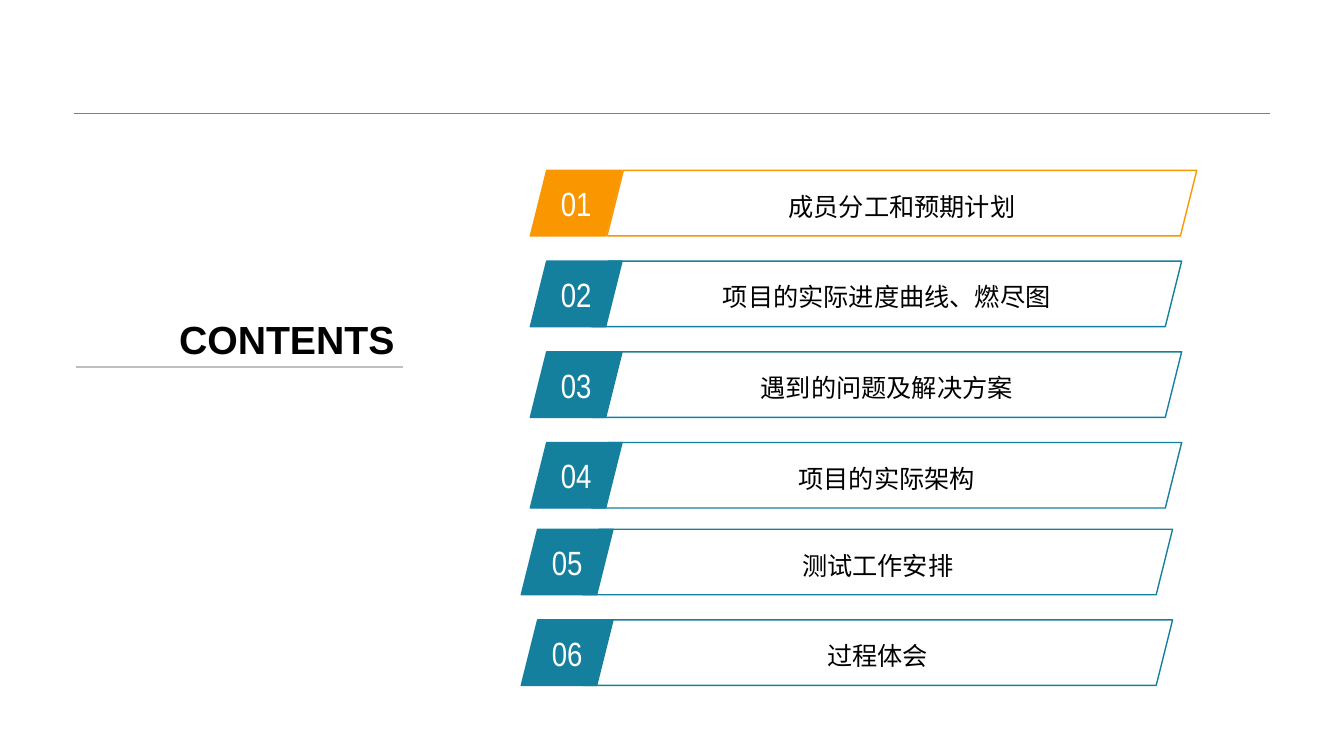
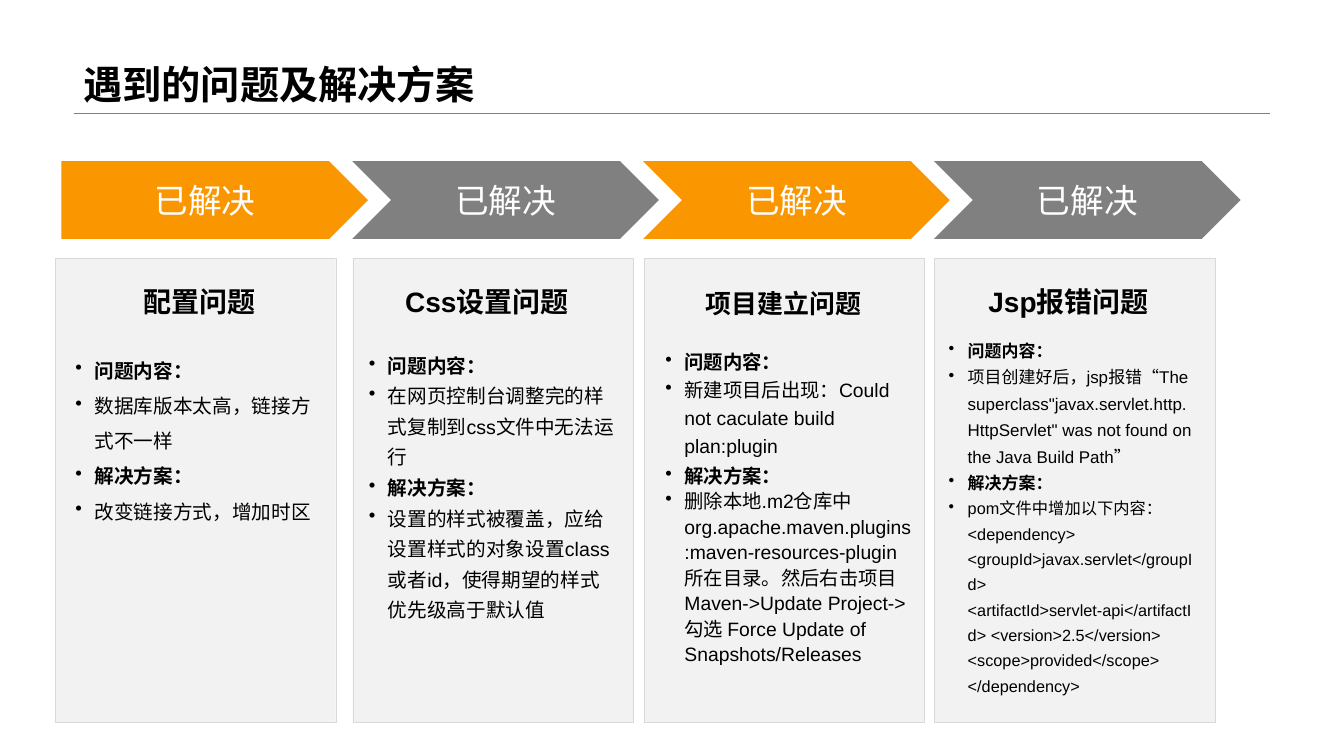
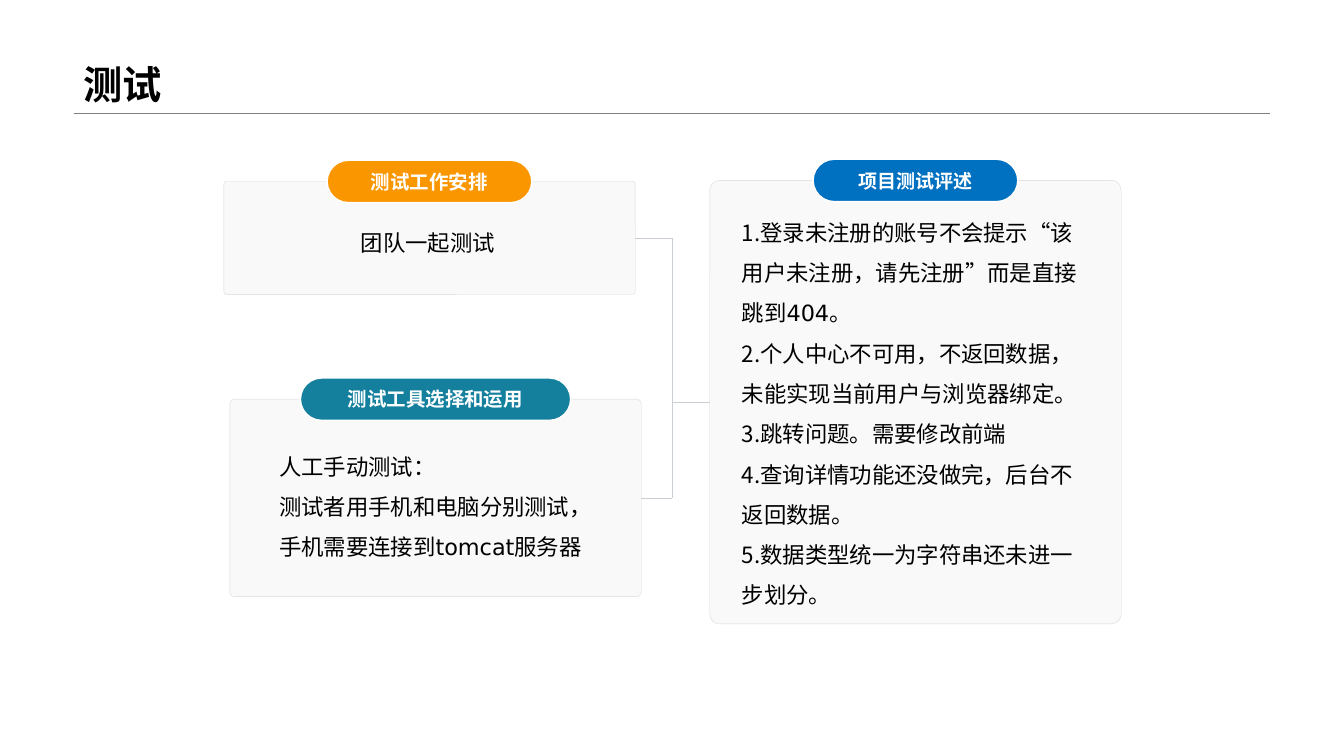
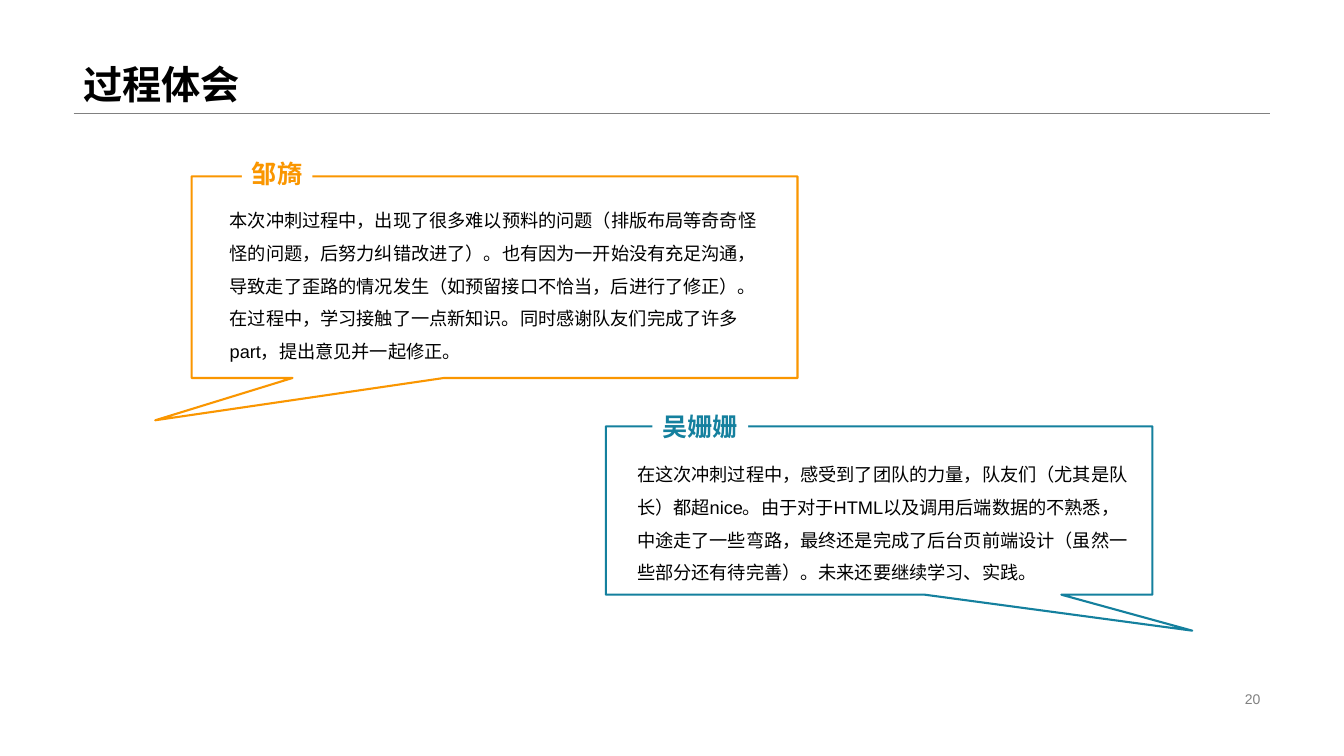
from lxml import etree
from pptx import Presentation
from pptx import util as u
from pptx.dml.color import RGBColor
from pptx.enum import shapes, text
from pptx.oxml import ns

Inches = u.Inches
SHAPE = shapes.MSO_SHAPE
ALIGN = text.PP_ALIGN
ANCHOR = text.MSO_ANCHOR

ORANGE, TEAL, BLUE, GRAY = "FA9600", "14809E", "0070C0", "808080"
BLACK, WHITE, PANEL, EDGE = "000000", "FFFFFF", "F2F2F2", "D9D9D9"
TRUNK = "C9CED5"


# Shared helpers
def colour(code):
    return RGBColor.from_string(code)


def add_node(parent, tag, **attributes):
    return etree.SubElement(parent, ns.qn(tag), attributes)


def add_box(page, kind, box, fill=None, line=None, width=1, adjust=()):
    shape = page.shapes.add_shape(kind, *map(Inches, box))
    shape.shadow.inherit = False
    if fill:
        shape.fill.solid()
        shape.fill.fore_color.rgb = colour(fill)
    else:
        shape.fill.background()
    if line:
        shape.line.color.rgb = colour(line)
        shape.line.width = u.Pt(width)
    else:
        shape.line.fill.background()
    for index, value in enumerate(adjust):
        shape.adjustments[index] = value
    return shape


def add_line(page, start, end, code, width):
    line = page.shapes.add_connector(
        shapes.MSO_CONNECTOR.STRAIGHT, *map(Inches, start + end))
    line.line.color.rgb = colour(code)
    line.line.width = u.Pt(width)
    add_node(line._element.spPr, "a:effectLst")
    return line


def write(shape, lines, size, code=BLACK, font="Arial", bold=False,
          align=ALIGN.LEFT, anchor=ANCHOR.TOP, spacing=None, wrap=True):
    frame = shape.text_frame
    frame.word_wrap = wrap
    frame.vertical_anchor = anchor
    frame.text = "\n".join(lines)
    for para in frame.paragraphs:
        para.alignment = align
        if spacing:
            para.line_spacing = spacing
        for span in para.runs:
            span.font.size = u.Pt(size)
            span.font.name = font
            span.font.bold = bold
            span.font.color.rgb = colour(code)
    return frame


def add_text(page, box, lines, size, **style):
    return write(page.shapes.add_textbox(*map(Inches, box)), lines, size, **style)


def add_bullet(para, tag, indent=0, **attributes):
    properties = para._p.get_or_add_pPr()
    properties.set("marL", str(Inches(indent)))
    properties.set("indent", str(-Inches(indent)))
    add_node(properties, tag, **attributes)


def new_page(deck, title=None):
    page = deck.slides.add_slide(deck.slide_layouts[6])
    add_line(page, (0.73, 1.12), (12.6, 1.12), GRAY, 0.25)
    if title:
        add_text(page, (0.73, 0, 11.87, 1.12), [title], 28, bold=True,
                 anchor=ANCHOR.BOTTOM, spacing=0.9)
    return page


# Contents
def add_entry(page, left, top, number, label):
    first = number == 1
    code = ORANGE if first else TEAL
    tab = add_box(page, SHAPE.PARALLELOGRAM, (left, top, 0.91, 0.65), code, code)
    write(tab, [f"{number:02d}"], 24, WHITE, "Arial Narrow",
          align=ALIGN.CENTER, anchor=ANCHOR.MIDDLE, wrap=False)
    bar_left = left + (0.76 if first else 0.61)
    bar = add_box(page, SHAPE.PARALLELOGRAM, (bar_left, top, 5.85, 0.65), line=code)
    write(bar, [label], 18, align=ALIGN.CENTER, anchor=ANCHOR.MIDDLE, spacing=1.2)


def contents_slide(deck):
    page = new_page(deck)
    labels = ["成员分工和预期计划", "项目的实际进度曲线、燃尽图", "遇到的问题及解决方案",
              "项目的实际架构", "测试工作安排", "过程体会"]
    for index, label in enumerate(labels):
        left, top, row = (5.26, 1.69, index) if index < 4 else (5.17, 5.25, index - 4)
        add_entry(page, left, top + row * 0.9, index + 1, label)
    add_line(page, (0.75, 3.64), (4, 3.64), "BFBFBF", 1.5)
    add_text(page, (1.62, 2.54, 2.39, 1.1), ["CONTENTS"], 28, bold=True,
             align=ALIGN.RIGHT, anchor=ANCHOR.BOTTOM, wrap=False)


# Problems and solutions
def add_column(page, left, heading, heading_size, heading_shift, body_shift,
               body_top, size, spacings, problem, solution):
    add_box(page, SHAPE.RECTANGLE, (left, 2.56, 2.78, 4.61), PANEL, EDGE, 0.25)
    add_text(page, (left + heading_shift, 2.56, 2.66, 0.65), [heading], heading_size,
             bold=True, align=ALIGN.CENTER, anchor=ANCHOR.BOTTOM)
    body = add_text(page, (left + body_shift, body_top, 2.66, 7.1 - body_top),
                    ["问题内容：", problem, "解决方案：", solution], size)
    for index, para in enumerate(body.paragraphs):
        para.line_spacing = spacings[index]
        para.runs[0].font.bold = index % 2 == 0
        add_bullet(para, "a:buChar", 0.19, char="•")
    return body


def problems_slide(deck):
    page = new_page(deck, "遇到的问题及解决方案")
    for index in range(4):
        kind = SHAPE.CHEVRON if index else SHAPE.PENTAGON
        arrow = add_box(page, kind, (0.61 + index * 2.885, 1.6, 3.04, 0.77),
                        GRAY if index % 2 else ORANGE)
        write(arrow, ["已解决"], 24, WHITE, "Arial Narrow",
              align=ALIGN.CENTER, anchor=ANCHOR.MIDDLE)

    add_column(page, 0.55, "配置问题", 20, 0.1, 0.1, 3.39, 14, [1.5] * 4,
               "数据库版本太高，链接方式不一样", "改变链接方式，增加时区")
    add_column(page, 3.5, "Css设置问题", 20, 0, 0.06, 3.39, 14, [1.3] * 4,
               "在网页控制台调整完的样式复制到css文件中无法运行",
               "设置的样式被覆盖，应给设置样式的对象设置class或者id，"
               "使得期望的样式优先级高于默认值")
    add_column(page, 6.39, "项目建立问题", 18.5, 0.05, 0.11, 3.36, 13.8,
               [1.3, 1.2, 1.3, 1.1],
               "新建项目后出现：Could not caculate build plan:plugin",
               "删除本地.m2仓库中 org.apache.maven.plugins:maven-resources-plugin"
               "所在目录。然后右击项目 Maven->Update Project->"
               "勾选 Force Update of Snapshots/Releases")
    body = add_column(page, 9.27, "Jsp报错问题", 20, 0, 0.04, 3.27, 12.1, [1.3] * 4,
                      "项目创建好后，jsp报错“The superclass\"javax.servlet.http.HttpServlet\" "
                      "was not found on the Java Build Path”",
                      "pom文件中增加以下内容： <dependency> <groupId>javax.servlet</groupId> "
                      "<artifactId>servlet-api</artifactId> <version>2.5</version> "
                      "<scope>provided</scope> </dependency>")
    body.paragraphs[3].runs[0].font.size = u.Pt(11.6)


# Testing
def add_card(page, box, label, code, label_width, label_size=13.9):
    left, top, width, _ = box
    card = add_box(page, SHAPE.ROUNDED_RECTANGLE, box, PANEL, EDGE, 0.25, [0.024])
    tint = card._element.spPr.find(".//" + ns.qn("a:srgbClr"))
    add_node(tint, "a:alpha", val="40000")
    pill_box = (left + (width - label_width) / 2, top - 0.21, label_width, 0.42)
    pill = add_box(page, SHAPE.ROUNDED_RECTANGLE, pill_box, code, WHITE, 1, [0.5])
    write(pill, [label], label_size, WHITE, bold=True,
          align=ALIGN.CENTER, anchor=ANCHOR.MIDDLE, wrap=False)
    return card


def testing_slide(deck):
    page = new_page(deck, "测试")
    plan = add_card(page, (2.22, 1.8, 4.08, 1.12), "测试工作安排", ORANGE, 2.03)
    tools = add_card(page, (2.28, 3.96, 4.08, 1.96), "测试工具选择和运用", TEAL, 2.68)
    review = add_card(page, (7.04, 1.79, 4.08, 4.4), "项目测试评述", BLUE, 2.03, 13.6)

    add_text(page, (3.48, 2.22, 1.55, 0.37), ["团队一起测试"], 16,
             font="Noto Sans CJK SC", wrap=False)
    add_text(page, (2.67, 4.31, 3.31, 1.26),
             ["人工手动测试：", "测试者用手机和电脑分别测试，", "手机需要连接到tomcat服务器"],
             16, font="DejaVu Sans", spacing=1.5)
    findings = add_text(page, (7.26, 1.99, 3.64, 4.09), [
        "登录未注册的账号不会提示“该用户未注册，请先注册”而是直接跳到404。",
        "个人中心不可用，不返回数据，未能实现当前用户与浏览器绑定。",
        "跳转问题。需要修改前端",
        "查询详情功能还没做完，后台不返回数据。",
        "数据类型统一为字符串还未进一步划分。",
    ], 16, font="DejaVu Sans", spacing=1.5)
    for para in findings.paragraphs:
        add_bullet(para, "a:buAutoNum", type="arabicPeriod")

    # Bracket joining the two left cards to the review
    trunk = 6.67
    add_line(page, (trunk, 2.36), (trunk, 4.94), TRUNK, 0.5)
    for card, site, edge, middle in [(plan, 3, 6.3, 2.36), (tools, 3, 6.36, 4.94),
                                     (review, 1, 7.04, 3.99)]:
        branch = add_line(page, (edge, middle), (trunk, middle), TRUNK, 0.5)
        branch.begin_connect(card, site)


# Reflections
def add_quote(page, box, pointer, code, name, name_box, words, words_box):
    left, top = box[:2]

    def inside(part):
        return (left + part[0], top + part[1]) + part[2:]

    add_box(page, SHAPE.RECTANGULAR_CALLOUT, box, line=code, width=1.5, adjust=pointer)
    add_text(page, inside(words_box), [words], 13, spacing=1.5)
    label = add_box(page, SHAPE.RECTANGLE, inside(name_box), WHITE)
    write(label, [name], 18, code, bold=True, wrap=False)


def reflections_slide(deck):
    page = new_page(deck, "过程体会")
    add_text(page, (9.42, 6.82, 3.18, 0.23), ["20"], 10, code=GRAY,
             align=ALIGN.RIGHT, anchor=ANCHOR.MIDDLE)
    add_quote(page, (6.01, 4.23, 5.42, 1.67), (0.573, 0.714), TEAL,
              "吴姗姗", (0.46, -0.2, 0.95, 0.4),
              "在这次冲刺过程中，感受到了团队的力量，队友们（尤其是队长）都超nice。"
              "由于对于HTML以及调用后端数据的不熟悉，中途走了一些弯路，"
              "最终还是完成了后台页前端设计（虽然一些部分还有待完善）。"
              "未来还要继续学习、实践。", (0.21, 0.21, 5.12, 1.32))
    add_quote(page, (1.9, 1.75, 6.01, 2), (-0.56, 0.71), ORANGE,
              "邹旖", (0.5, -0.23, 0.7, 0.4),
              "本次冲刺过程中，出现了很多难以预料的问题（排版布局等奇奇怪怪的问题，"
              "后努力纠错改进了）。也有因为一开始没有充足沟通，导致走了歪路的情况发生"
              "（如预留接口不恰当，后进行了修正）。在过程中，学习接触了一点新知识。"
              "同时感谢队友们完成了许多part，提出意见并一起修正。", (0.28, 0.17, 5.59, 1.52))


def main():
    deck = Presentation()
    deck.slide_width, deck.slide_height = Inches(13.33), Inches(7.5)
    contents_slide(deck)
    problems_slide(deck)
    testing_slide(deck)
    reflections_slide(deck)
    deck.save("out.pptx")


if __name__ == "__main__":
    main()
